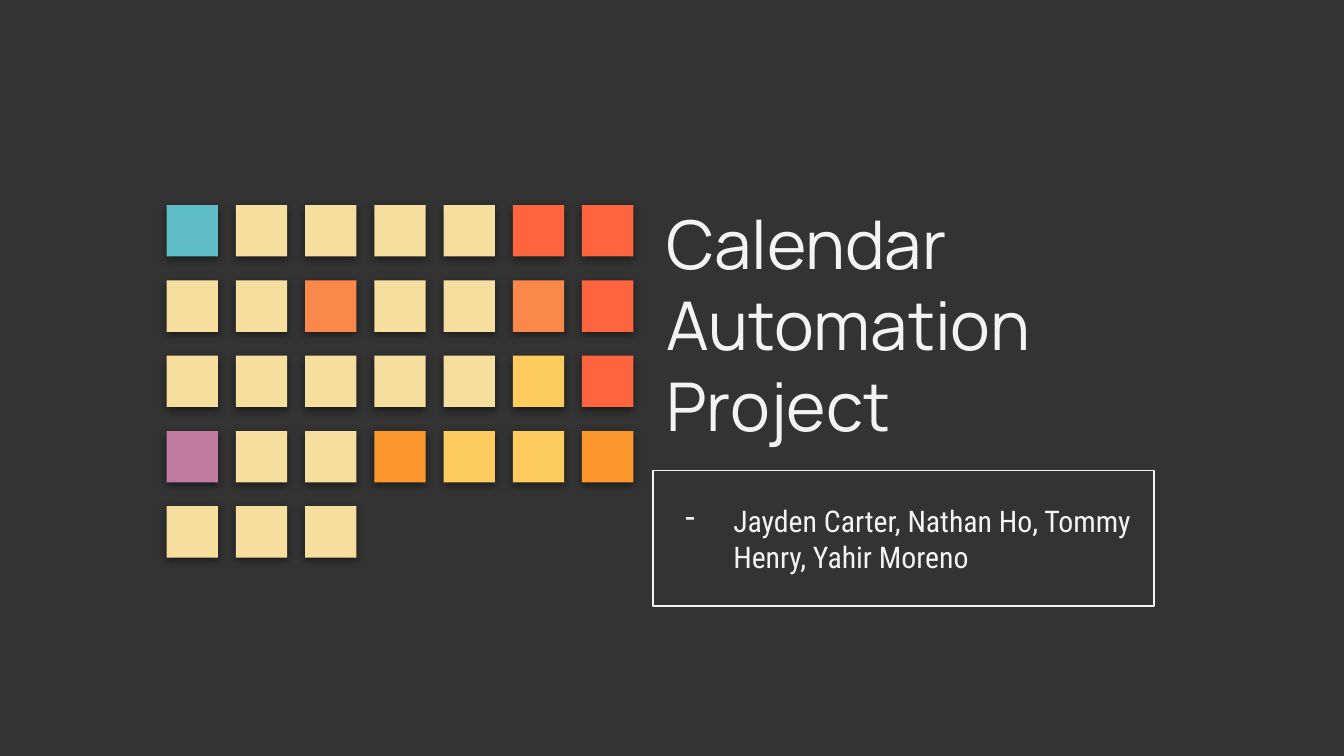
from lxml import etree
from pptx import Presentation
from pptx.dml.color import RGBColor
from pptx.enum.shapes import MSO_SHAPE
from pptx.enum.text import MSO_ANCHOR, MSO_AUTO_SIZE, PP_ALIGN
from pptx.oxml.ns import qn
from pptx.util import Cm, Pt

RECTANGLE = MSO_SHAPE.RECTANGLE
TOP, MIDDLE = MSO_ANCHOR.TOP, MSO_ANCHOR.MIDDLE
LEFT = PP_ALIGN.LEFT
NO_AUTOFIT = MSO_AUTO_SIZE.NONE

DARK = RGBColor(0x33, 0x33, 0x33)
LIGHT = RGBColor(0xF3, 0xF3, 0xF3)
SAND = RGBColor(0xF6, 0xDE, 0x9E)
TEAL = RGBColor(0x5E, 0xBD, 0xC6)
RED = RGBColor(0xFE, 0x64, 0x3E)
CORAL = RGBColor(0xFA, 0x88, 0x4B)
YELLOW = RGBColor(0xFE, 0xCB, 0x5E)
ORANGE = RGBColor(0xFC, 0x97, 0x2D)
MAUVE = RGBColor(0xC2, 0x7B, 0xA0)

CALENDAR = [
    [TEAL, SAND, SAND, SAND, SAND, RED, RED],
    [SAND, SAND, CORAL, SAND, SAND, CORAL, RED],
    [SAND, SAND, SAND, SAND, SAND, YELLOW, RED],
    [MAUVE, SAND, SAND, ORANGE, YELLOW, YELLOW, ORANGE],
    [SAND, SAND, SAND],
]


def set_text(shape, text, font_name, size, anchor):
    """Fill a shape with one light, left-aligned paragraph and return it."""
    frame = shape.text_frame
    frame.word_wrap = True
    frame.auto_size = NO_AUTOFIT
    frame.vertical_anchor = anchor
    frame.margin_left = frame.margin_right = Cm(0.25)
    frame.margin_top = frame.margin_bottom = Cm(0.25)
    frame.text = text
    para = frame.paragraphs[0]
    para.alignment = LEFT
    para.font.name = font_name
    para.font.size = Pt(size)
    para.font.color.rgb = LIGHT
    return para


def add_dash(para):
    """Give a paragraph a hanging dash bullet."""
    properties = para._p.get_or_add_pPr()
    properties.set("marL", str(Cm(1.27)))
    properties.set("indent", str(Cm(-0.91)))
    dash = etree.Element(qn("a:buChar"), char="-")
    color = etree.Element(qn("a:buClr"))
    etree.SubElement(color, qn("a:srgbClr"), val=str(LIGHT))
    properties.insert(0, color)
    properties.insert(1, dash)


def add_soft_shadow(shape):
    """Cast a soft black shadow straight down."""
    shape.shadow.inherit = False
    effects = shape._element.spPr.find(qn("a:effectLst"))
    shadow = etree.SubElement(
        effects, qn("a:outerShdw"), blurRad=str(Pt(4.5)), dist=str(Pt(1.5)),
        dir="5400000", algn="bl", rotWithShape="0")
    color = etree.SubElement(shadow, qn("a:srgbClr"), val="000000")
    etree.SubElement(color, qn("a:alpha"), val="50000")


def place_title(page, left, top, width, height):
    """Place the title placeholder in the given box."""
    title = page.shapes.title
    title.left, title.top, title.width, title.height = left, top, width, height
    set_text(title, "Calendar Automation Project", "Manrope", 36, TOP)


def add_authors(page, left, top, width, height):
    """Add the outlined box that lists the authors."""
    box = page.shapes.add_shape(RECTANGLE, left, top, width, height)
    box.shadow.inherit = False
    box.fill.background()
    box.line.color.rgb = LIGHT
    box.line.width = Pt(0.75)
    names = "Jayden Carter, Nathan Ho, Tommy Henry, Yahir Moreno"
    add_dash(set_text(box, names, "Roboto Condensed", 16, MIDDLE))


def add_calendar(page, left, top, width, height):
    """Spread the coloured day squares evenly over the given box."""
    side = Cm(0.97)
    column_step = (width - side) / (len(CALENDAR[0]) - 1)
    row_step = (height - side) / (len(CALENDAR) - 1)
    group = page.shapes.add_group_shape()
    for row, week in enumerate(CALENDAR):
        for column, color in enumerate(week):
            day = group.shapes.add_shape(
                RECTANGLE, round(left + column * column_step),
                round(top + row * row_step), side, side)
            day.fill.solid()
            day.fill.fore_color.rgb = color
            day.line.fill.background()
            add_soft_shadow(day)


def main():
    """Build the title slide and save the deck."""
    deck = Presentation()
    deck.slide_width, deck.slide_height = Cm(25.4), Cm(14.29)
    page = deck.slides.add_slide(deck.slide_layouts.get_by_name("Title Only"))
    page.background.fill.solid()
    page.background.fill.fore_color.rgb = DARK
    place_title(page, Cm(12.34), Cm(3.58), Cm(11.2), Cm(3))
    add_authors(page, Cm(12.34), Cm(8.89), Cm(9.47), Cm(2.57))
    add_calendar(page, Cm(3.15), Cm(3.88), Cm(8.82), Cm(6.66))
    deck.save("out.pptx")


if __name__ == "__main__":
    main()
